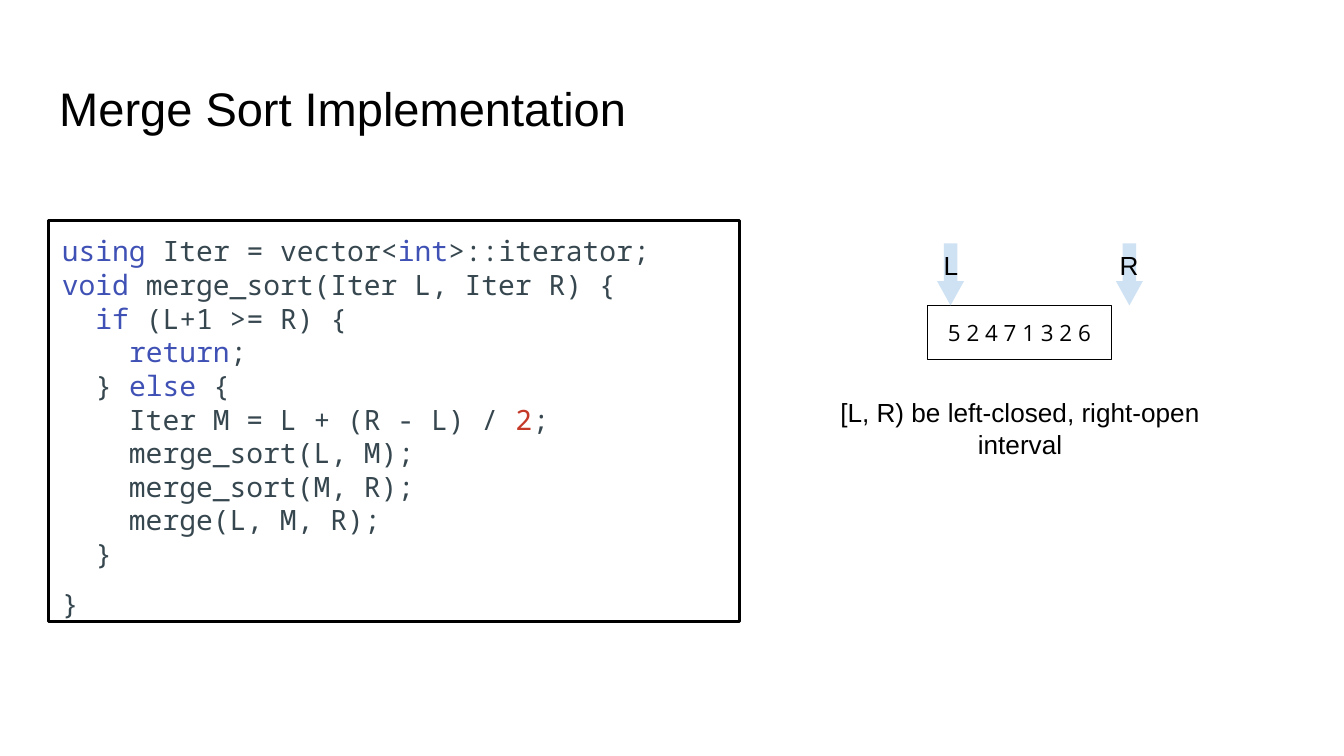
from pptx import Presentation
from pptx.dml.color import RGBColor
from pptx.enum.shapes import MSO_SHAPE
from pptx.enum.text import MSO_ANCHOR, PP_ALIGN
from pptx.util import Cm, Pt

BLACK = RGBColor(0x00, 0x00, 0x00)
KEYWORD = RGBColor(0x3F, 0x51, 0xB5)
NUMBER = RGBColor(0xC5, 0x39, 0x29)
CODE = RGBColor(0x37, 0x47, 0x4F)
POINTER = RGBColor(0xCF, 0xE2, 0xF3)

TOKEN_COLORS = {
    "using": KEYWORD, "int": KEYWORD, "void": KEYWORD, "if": KEYWORD,
    "return": KEYWORD, "else": KEYWORD, "2": NUMBER,
}
CODE_LINES = [
    "using| Iter = vector<|int|>::iterator;",
    "void| merge_sort(Iter L, Iter R) {",
    "  |if| (L+1 >= R) {",
    "    |return|;",
    "  } |else| {",
    "    Iter M = L + (R - L) / |2|;",
    "    merge_sort(L, M);",
    "    merge_sort(M, R);",
    "    merge(L, M, R);",
    "  }",
    "}",
]


def style_run(run, size, font, color):
    run.font.size = Pt(size)
    run.font.name = font
    run.font.color.rgb = color


def prepare_frame(frame, anchor=MSO_ANCHOR.TOP):
    frame.word_wrap = True
    frame.vertical_anchor = anchor
    frame.margin_left = frame.margin_right = Cm(0.25)
    frame.margin_top = frame.margin_bottom = Cm(0.25)


def write_line(frame, text, size, font="Arial", align=PP_ALIGN.CENTER):
    frame.text = text
    paragraph = frame.paragraphs[0]
    paragraph.alignment = align
    style_run(paragraph.runs[0], size, font, BLACK)


def add_label(slide, text, left, top, width, height, size=14,
              align=PP_ALIGN.CENTER, anchor=MSO_ANCHOR.TOP):
    label = slide.shapes.add_textbox(Cm(left), Cm(top), Cm(width), Cm(height))
    prepare_frame(label.text_frame, anchor)
    write_line(label.text_frame, text, size, align=align)


def add_frame_box(slide, left, top, width, height, line_width):
    box = slide.shapes.add_shape(
        MSO_SHAPE.RECTANGLE, Cm(left), Cm(top), Cm(width), Cm(height))
    box.shadow.inherit = False
    box.fill.background()
    box.line.color.rgb = BLACK
    box.line.width = Pt(line_width)
    prepare_frame(box.text_frame)
    return box


def add_code(slide, lines, left, top, width, height):
    frame = add_frame_box(slide, left, top, width, height, 1.5).text_frame
    for index, line in enumerate(lines):
        paragraph = frame.add_paragraph() if index else frame.paragraphs[0]
        paragraph.alignment = PP_ALIGN.LEFT
        for token in filter(None, line.split("|")):
            run = paragraph.add_run()
            run.text = token
            style_run(run, 15, "Noto Sans Mono", TOKEN_COLORS.get(token, CODE))
    paragraph.line_spacing = 1.5


def add_array(slide, values, left, top, width, height):
    frame = add_frame_box(slide, left, top, width, height, 0.75).text_frame
    write_line(frame, values, 12, "Open Sans")


def add_pointer(slide, left):
    arrow = slide.shapes.add_shape(
        MSO_SHAPE.DOWN_ARROW, Cm(left), Cm(4.6), Cm(0.51), Cm(1.17))
    arrow.shadow.inherit = False
    arrow.adjustments[0] = 0.5
    arrow.adjustments[1] = 0.9
    arrow.fill.solid()
    arrow.fill.fore_color.rgb = POINTER
    arrow.line.fill.background()


def main():
    deck = Presentation()
    deck.slide_width, deck.slide_height = Cm(25.4), Cm(14.28)
    slide = deck.slides.add_slide(deck.slide_layouts[6])

    add_label(slide, "Merge Sort Implementation", 0.87, 1.24, 23.67, 1.6,
              size=25.2, align=PP_ALIGN.LEFT, anchor=MSO_ANCHOR.MIDDLE)
    add_code(slide, CODE_LINES, 0.92, 4.17, 13.06, 7.57)
    add_array(slide, "5 2 4 7 1 3 2 6", 17.53, 5.77, 3.48, 1.02)

    for name, arrow_left, label_left in (("L", 17.71, 17.21), ("R", 21.09, 20.58)):
        add_pointer(slide, arrow_left)
        add_label(slide, name, label_left, 4.47, 1.52, 1.12)

    add_label(slide, "[L, R) be left-closed, right-open interval",
              15.62, 7.24, 7.32, 1.7)
    deck.save("out.pptx")


if __name__ == "__main__":
    main()
